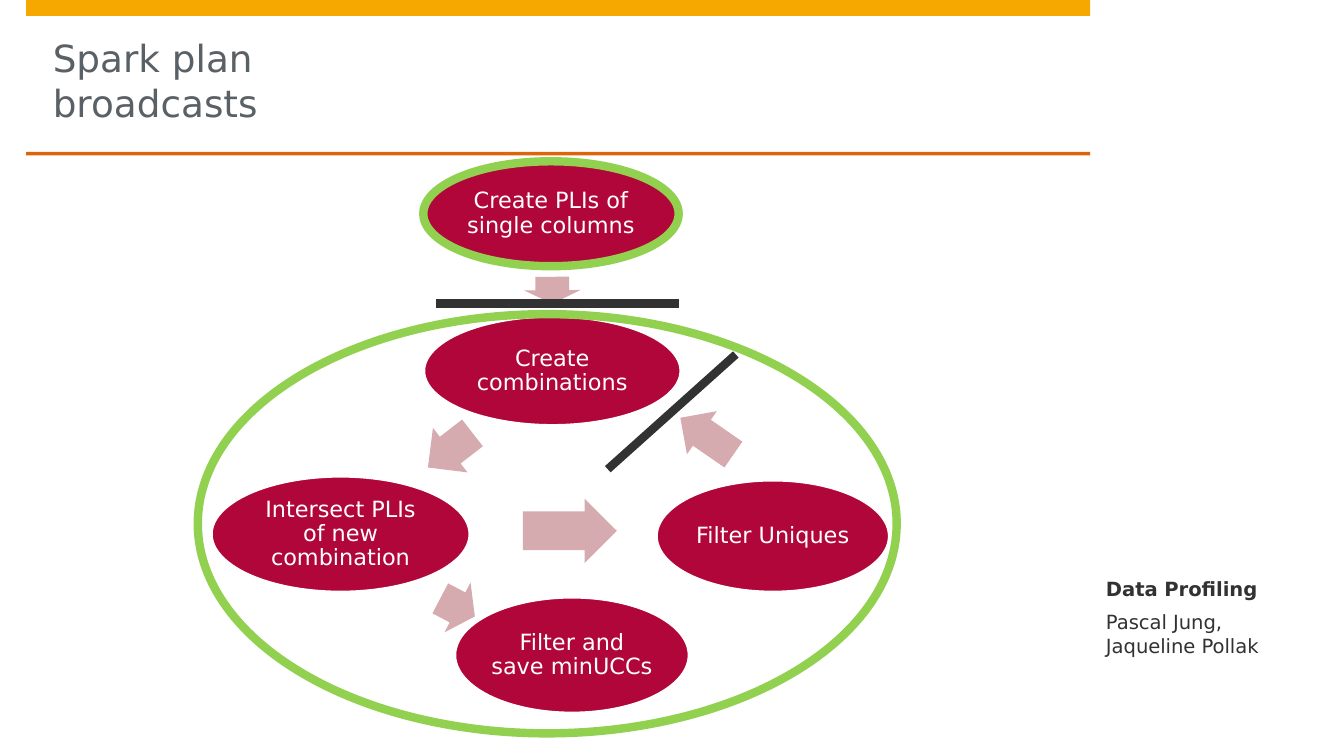
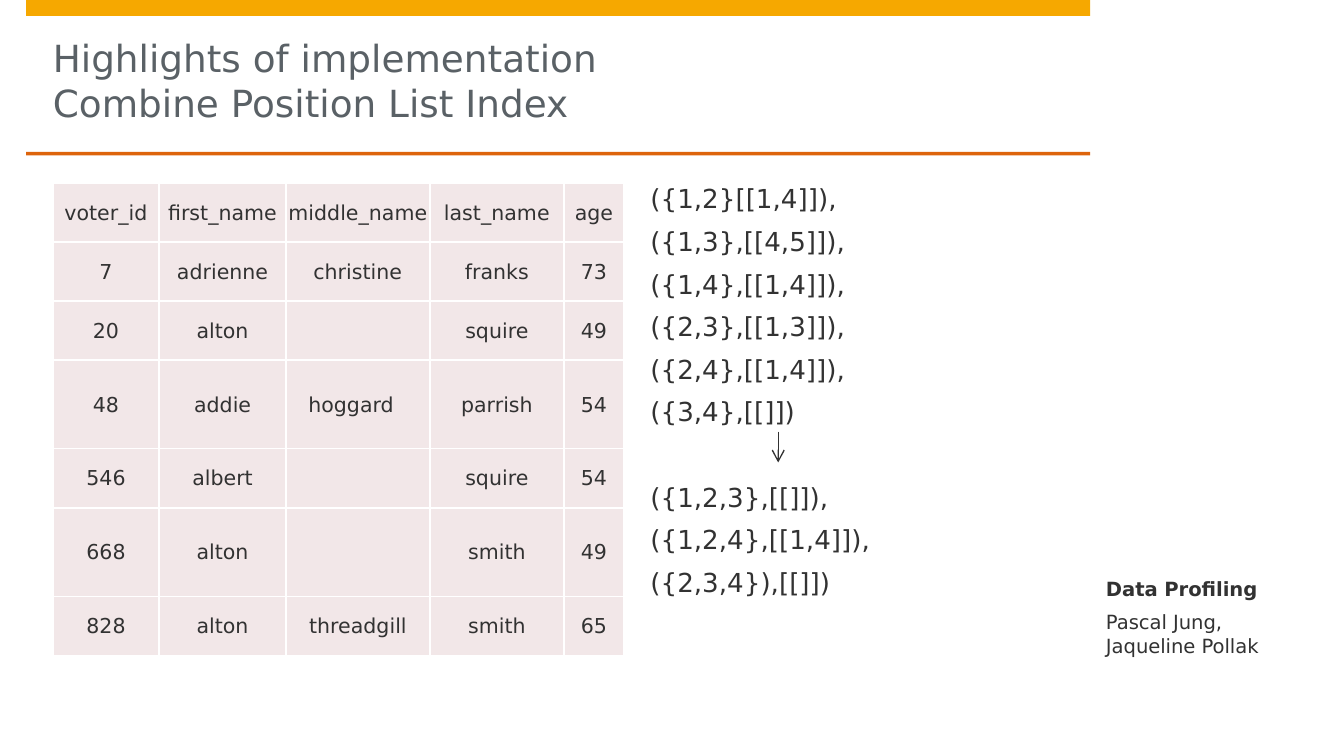
from lxml.etree import SubElement
from pptx import Presentation
from pptx.dml.color import RGBColor
from pptx.enum.shapes import MSO_CONNECTOR, MSO_SHAPE
from pptx.enum.text import MSO_ANCHOR, PP_ALIGN
from pptx.oxml.ns import qn
from pptx.util import Pt

FONT = "DejaVu Sans"
AMBER, ORANGE, GREY = "F6A800", "DD640C", "5A6166"
INK, WHITE, CRIMSON = "323232", "FFFFFF", "B1063A"
ROSE, GREEN, BLUSH = "D5ABAF", "92D050", "F2E7E8"

STEPS = [
    ("Create PLIs of single columns", (226.8, 86.4, 136.8, 56.2), GREEN, 4.5),
    ("Create combinations", (226.8, 169.2, 138.2, 59), WHITE, 2),
    ("Intersect PLIs of new combination", (113, 254.9, 139, 62.6), WHITE, 2),
    ("Filter and save minUCCs", (243.4, 319.7, 126, 62.6), WHITE, 2),
    ("Filter Uniques", (351.4, 257, 125.3, 60.5), WHITE, 2),
]
ARROWS = [
    ((288.7, 140.4, 14.4, 30.2), 89.5),
    ((226.1, 226.1, 30.2, 30.2), 142.2),
    ((234.7, 310.3, 20.9, 30.2), 27.6),
    ((280.1, 267.1, 50.4, 34.6), 0),
    ((361.4, 219.6, 34.6, 28.1), 214.7),
]
VOTERS = [
    ["voter_id", "first_name", "middle_name", "last_name", "age"],
    ["7", "adrienne", "christine", "franks", "73"],
    ["20", "alton", "", "squire", "49"],
    ["48", "addie", "hoggard", "parrish", "54"],
    ["546", "albert", "", "squire", "54"],
    ["668", "alton", "", "smith", "49"],
    ["828", "alton", "threadgill", "smith", "65"],
]
COLUMN_WIDTHS = [57, 68, 77, 72, 32]
ROW_HEIGHTS = [31.7, 31.7, 31.7, 47.4, 31.7, 47.4, 31.7]
PAIRS = ["({1,2}[[1,4]]),", "({1,3},[[4,5]]),", "({1,4},[[1,4]]),",
         "({2,3},[[1,3]]),", "({2,4},[[1,4]]),", "({3,4},[[]])"]
TRIPLES = ["({1,2,3},[[]]),", "({1,2,4},[[1,4]]),", "({2,3,4}),[[]])"]


def color(value):
    return RGBColor.from_string(value)


def points(values):
    return [Pt(value) for value in values]


def apply(target, formats):
    for name, value in formats.items():
        setattr(target, name, value)


def set_margins(target, margins):
    names = ("margin_left", "margin_top", "margin_right", "margin_bottom")
    apply(target, dict(zip(names, points(margins))))


def write(frame, lines, size, ink=INK, bold=False, **para_formats):
    for index, line in enumerate(lines):
        para = frame.add_paragraph() if index else frame.paragraphs[0]
        para.text = line
        apply(para, para_formats)
        for span in para.runs:
            apply(span.font, {"name": FONT, "size": Pt(size), "bold": bold})
            span.font.color.rgb = color(ink)


def add_text(page, place, lines, size, margins=(0, 0, 0, 0),
             anchor=MSO_ANCHOR.TOP, **formats):
    frame = page.shapes.add_textbox(*points(place)).text_frame
    apply(frame, {"word_wrap": True, "vertical_anchor": anchor})
    set_margins(frame, margins)
    write(frame, lines, size, **formats)
    return frame


def add_figure(page, kind, place, fill=None, line=None, width=0):
    figure = page.shapes.add_shape(kind, *points(place))
    figure.shadow.inherit = False
    if fill:
        figure.fill.solid()
        figure.fill.fore_color.rgb = color(fill)
    else:
        figure.fill.background()
    if line:
        figure.line.color.rgb = color(line)
        figure.line.width = Pt(width)
    else:
        figure.line.fill.background()
    return figure


def add_step(page, label, place, outline, width):
    step = add_figure(page, MSO_SHAPE.OVAL, place, CRIMSON, outline, width)
    frame = step.text_frame
    apply(frame, {"word_wrap": True, "vertical_anchor": MSO_ANCHOR.MIDDLE})
    set_margins(frame, [1.2] * 4)
    write(frame, [label], 12, WHITE, alignment=PP_ALIGN.CENTER, line_spacing=0.9)


def add_block_arrow(page, place, rotation):
    arrow = add_figure(page, MSO_SHAPE.RIGHT_ARROW, place, ROSE)
    arrow.adjustments[0], arrow.adjustments[1] = 0.6, 0.5
    arrow.rotation = rotation


def add_line(page, ends, width, arrowhead=False):
    line = page.shapes.add_connector(MSO_CONNECTOR.STRAIGHT, *points(ends))
    line.line.color.rgb = color(INK)
    line.line.width = Pt(width)
    properties = line._element.spPr
    if arrowhead:
        SubElement(properties.find(qn("a:ln")), qn("a:tailEnd"), type="arrow")
    SubElement(properties, qn("a:effectLst"))


def add_borders(cell):
    properties = cell._tc.get_or_add_tcPr()
    for side in ("L", "R", "T", "B"):
        border = SubElement(properties, qn(f"a:ln{side}"), w=str(Pt(1)))
        fill = SubElement(border, qn("a:solidFill"))
        SubElement(fill, qn("a:srgbClr"), val=WHITE)


def add_table(page, left, top, rows, widths, heights):
    place = points((left, top, sum(widths), sum(heights)))
    table = page.shapes.add_table(len(rows), len(widths), *place).table
    apply(table, {"first_row": False, "horz_banding": False})
    for column, width in zip(table.columns, widths):
        column.width = Pt(width)
    for row, height, values in zip(table.rows, heights, rows):
        row.height = Pt(height)
        for cell, value in zip(row.cells, values):
            add_borders(cell)
            cell.fill.solid()
            cell.fill.fore_color.rgb = color(BLUSH)
            cell.vertical_anchor = MSO_ANCHOR.MIDDLE
            set_margins(cell, (0.7, 0.7, 0.7, 0))
            write(cell.text_frame, [value], 11, alignment=PP_ALIGN.CENTER)
    return table


def add_page(deck, title):
    page = deck.slides.add_slide(deck.slide_layouts[6])
    add_figure(page, MSO_SHAPE.RECTANGLE, (14, 0, 570, 8.5), AMBER)
    add_figure(page, MSO_SHAPE.RECTANGLE, (14, 81.4, 570, 1.9), ORANGE)
    add_text(page, (28.3, 8.6, 541.4, 72.7), [title], 20, (0, 0, 0, 14.2),
             MSO_ANCHOR.BOTTOM, ink=GREY)
    add_text(page, (584, 326.9, 121.7, 36.7),
             ["Pascal Jung,", "Jaqueline Pollak"], 10.5, (8.5, 0, 0, 0))
    add_text(page, (584, 280.8, 121.7, 41), ["Data Profiling"], 10.5,
             (8.5, 0, 0, 0), MSO_ANCHOR.BOTTOM, bold=True)
    return page


def add_broadcast_page(deck):
    page = add_page(deck, "Spark plan\nbroadcasts")
    for step in STEPS:
        add_step(page, *step)
    for arrow in ARROWS:
        add_block_arrow(page, *arrow)
    add_line(page, (233.5, 162.7, 363.8, 162.7), 4.5)
    add_line(page, (325.6, 251.4, 394.2, 189.9), 4.5)
    add_figure(page, MSO_SHAPE.OVAL, (106, 168.3, 374.4, 224.6),
               line=GREEN, width=4.5)


def add_index_page(deck):
    page = add_page(deck, "Highlights of implementation\nCombine Position List Index")
    body = add_text(page, (348.5, 97.9, 221, 280.8), PAIRS + TRIPLES, 14,
                    space_before=Pt(3), space_after=Pt(3))
    body.paragraphs[len(PAIRS)].space_before = Pt(26)
    table = add_table(page, 28.3, 97.9, VOTERS, COLUMN_WIDTHS, ROW_HEIGHTS)
    table.cell(3, 2).margin_right = Pt(8)
    add_line(page, (416.9, 231.2, 416.9, 247.8), 0.75, arrowhead=True)


def main():
    deck = Presentation()
    apply(deck, {"slide_width": Pt(720), "slide_height": Pt(405)})
    add_broadcast_page(deck)
    add_index_page(deck)
    deck.save("out.pptx")


if __name__ == "__main__":
    main()
